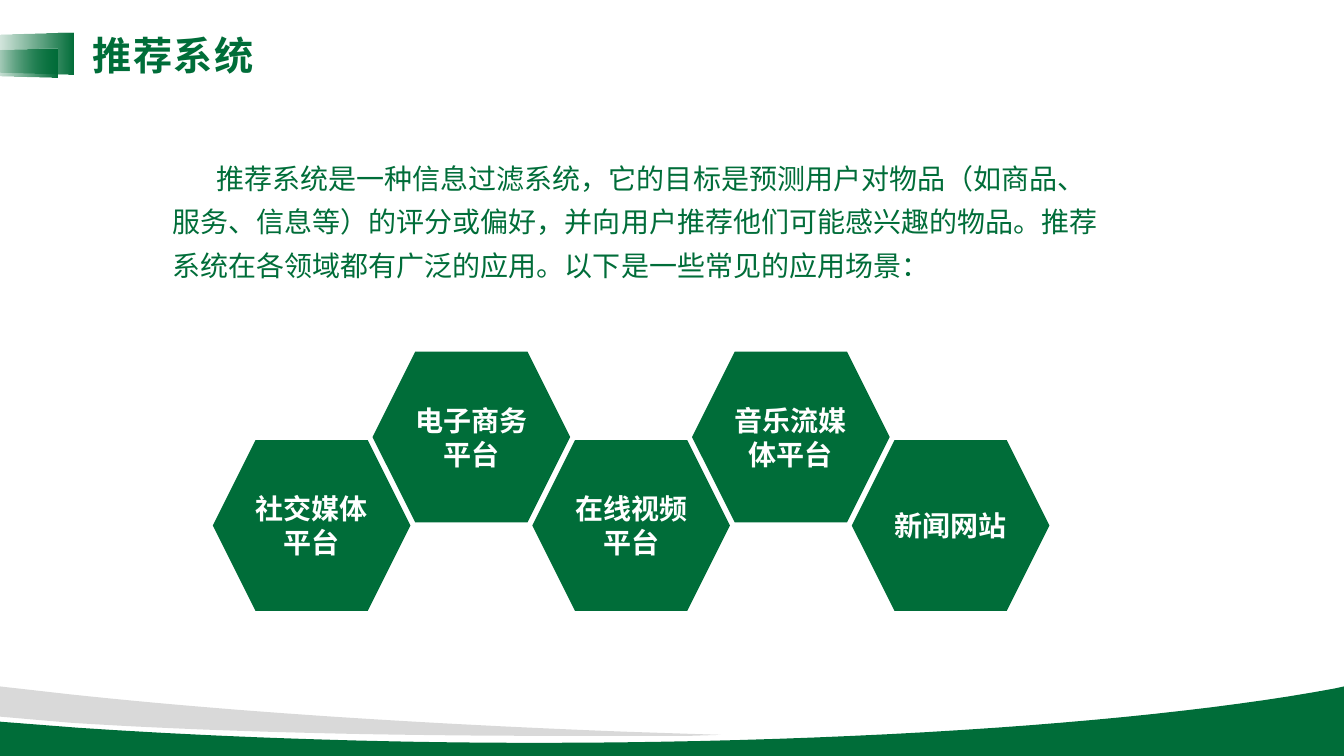
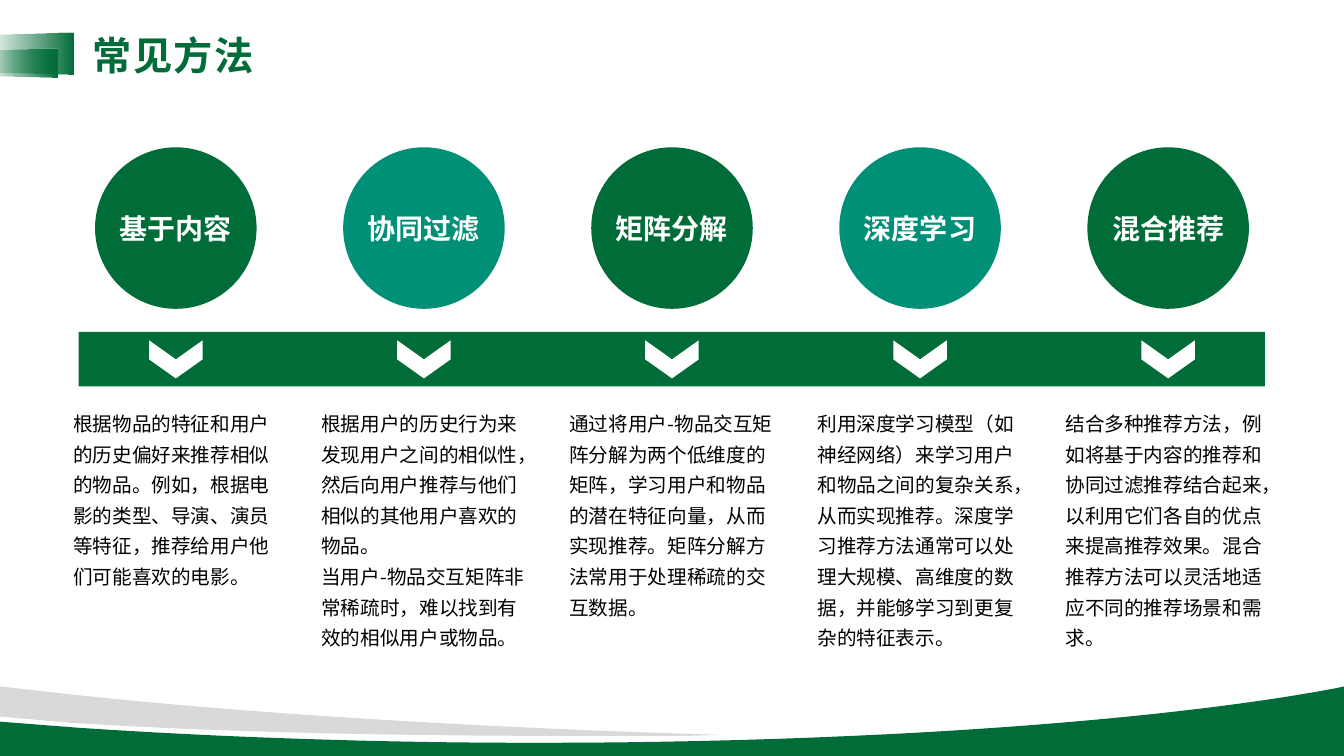
from lxml.etree import SubElement
from pptx import Presentation
from pptx.dml.color import RGBColor
from pptx.enum.shapes import MSO_SHAPE as Preset
from pptx.enum.text import MSO_ANCHOR as Anchor, MSO_AUTO_SIZE as AutoSize, PP_ALIGN as Align
from pptx.oxml.ns import qn
from pptx.util import Pt

GREEN = RGBColor(0x00, 0x6D, 0x39)
TEAL = RGBColor(0x00, 0x8F, 0x77)
GREY = RGBColor(0xD9, 0xD9, 0xD9)
WHITE = RGBColor(0xFF, 0xFF, 0xFF)
BLACK = RGBColor(0x00, 0x00, 0x00)
FONT = "Noto Sans CJK SC"

GREEN_WAVE = [
    [(960, 490.3)], [(960, 540)], [(0, 540)], [(0, 515.5)], [(55.4, 519.8)],
    [(152.6, 526.3), (264.2, 530.6), (383, 530.6)],
    [(620.6, 530.6), (830.2, 514.8), (953.3, 491.8)],
]
GREY_WAVE = [
    [(0, 490.3)], [(50.4, 496)],
    [(164.9, 508.3), (300.2, 517), (447.8, 522.7)],
    [(514.8, 524.9)], [(492.5, 525.6)], [(394.6, 525.6)],
    [(259.9, 525.6), (138.2, 522), (49.7, 516.2)],
    [(0, 511.9)],
]
CURVE_STEPS = 24

INTRO = (
    "推荐系统是一种信息过滤系统，它的目标是预测用户对物品（如商品、服务、信息等）的评分或偏好，"
    "并向用户推荐他们可能感兴趣的物品。推荐系统在各领域都有广泛的应用。以下是一些常见的应用场景："
)
SCENARIOS = ["社交媒体平台", "电子商务平台", "在线视频平台", "音乐流媒体平台", "新闻网站"]
METHODS = [
    ("基于内容",
     "根据物品的特征和用户的历史偏好来推荐相似的物品。例如，根据电影的类型、导演、演员等特征，"
     "推荐给用户他们可能喜欢的电影。"),
    ("协同过滤",
     "根据用户的历史行为来发现用户之间的相似性，然后向用户推荐与他们相似的其他用户喜欢的物品。\n"
     "当用户-物品交互矩阵非常稀疏时，难以找到有效的相似用户或物品。"),
    ("矩阵分解",
     "通过将用户-物品交互矩阵分解为两个低维度的矩阵，学习用户和物品的潜在特征向量，从而实现推荐。"
     "矩阵分解方法常用于处理稀疏的交互数据。"),
    ("深度学习",
     "利用深度学习模型（如神经网络）来学习用户和物品之间的复杂关系，从而实现推荐。"
     "深度学习推荐方法通常可以处理大规模、高维度的数据，并能够学习到更复杂的特征表示。"),
    ("混合推荐",
     "结合多种推荐方法，例如将基于内容的推荐和协同过滤推荐结合起来，以利用它们各自的优点来提高推荐效果。"
     "混合推荐方法可以灵活地适应不同的推荐场景和需求。"),
]


def write(frame, text, size=20, color=WHITE, bold=False, align=Align.LEFT,
          anchor=Anchor.TOP, wrap=True, line_spacing=None, indent=0, tracking=0):
    frame.auto_size = AutoSize.NONE
    frame.word_wrap = wrap
    frame.vertical_anchor = anchor
    for number, line in enumerate(text.split("\n")):
        paragraph = frame.add_paragraph() if number else frame.paragraphs[0]
        paragraph.alignment = align
        if line_spacing:
            paragraph.line_spacing = line_spacing
        if indent:
            paragraph._p.get_or_add_pPr().set("indent", str(Pt(indent)))
        run = paragraph.add_run()
        run.text = line
        run.font.size = Pt(size)
        run.font.bold = bold
        run.font.color.rgb = color
        run.font.name = FONT
        properties = run._r.get_or_add_rPr()
        SubElement(properties, qn("a:ea"), typeface=FONT)
        if tracking:
            properties.set("spc", str(tracking * 100))


def paint(shape, color):
    shape.shadow.inherit = False
    shape.line.fill.background()
    shape.fill.solid()
    shape.fill.fore_color.rgb = color


def add_block(slide, preset, left, top, width, height, color, rotation=0):
    block = slide.shapes.add_shape(preset, Pt(left), Pt(top), Pt(width), Pt(height))
    block.rotation = rotation
    paint(block, color)
    return block


def add_text(slide, text, left, top, width, height, **style):
    box = slide.shapes.add_textbox(Pt(left), Pt(top), Pt(width), Pt(height))
    write(box.text_frame, text, **style)


def bezier(points, t):
    weights = ((1 - t) ** 3, 3 * t * (1 - t) ** 2, 3 * t ** 2 * (1 - t), t ** 3)
    return tuple(sum(w * p[axis] for w, p in zip(weights, points)) for axis in (0, 1))


def add_wave(slide, segments, color):
    outline = []
    for segment in segments:
        if len(segment) == 1:
            outline += segment
        else:
            controls = [outline[-1], *segment]
            outline += [bezier(controls, step / CURVE_STEPS) for step in range(1, CURVE_STEPS + 1)]
    vertices = [(Pt(x), Pt(y)) for x, y in outline]
    builder = slide.shapes.build_freeform(*vertices[0])
    builder.add_line_segments(vertices[1:], close=True)
    wave = builder.convert_to_shape()
    paint(wave, color)
    return wave


def add_ribbon(slide, left, top, width, height):
    ribbon = add_block(slide, Preset.TRAPEZOID, left, top, width, height, GREEN, rotation=270)
    ribbon.adjustments[0] = 0.07
    ribbon.fill.gradient()
    ribbon.fill.gradient_angle = 0
    for stop, position in zip(ribbon.fill.gradient_stops, (0, 1)):
        stop.color.rgb = GREEN
        stop.position = position
    gradient = ribbon.element.spPr.find(qn("a:gradFill"))
    gradient.set("rotWithShape", "0")
    SubElement(next(gradient.iter(qn("a:srgbClr"))), qn("a:alpha"), val="0")
    return ribbon


def decorate(layout, slide):
    for placeholder in list(layout.placeholders):
        if placeholder.placeholder_format.idx:
            placeholder.element.getparent().remove(placeholder.element)
        else:
            placeholder.left, placeholder.top = Pt(59), Pt(18.7)
            placeholder.width, placeholder.height = Pt(253), Pt(41)
    decorations = [
        add_wave(slide, GREEN_WAVE, GREEN),
        add_wave(slide, GREY_WAVE, GREY),
        add_ribbon(slide, 5.8, 6.5, 29.5, 63.4),
        add_ribbon(slide, 4.3, 18.7, 20.9, 52.6),
    ]
    for decoration in decorations:
        layout.shapes.element.append(decoration.element)


def set_title(slide, text):
    write(slide.shapes.title.text_frame, text, size=28, color=GREEN, bold=True,
          anchor=Anchor.MIDDLE, tracking=1)


def fill_overview(slide):
    set_title(slide, "推荐系统")
    add_text(slide, INTRO, 116, 104.4, 680, 107, color=GREEN, line_spacing=1.3, indent=31.4)
    for index, scenario in enumerate(SCENARIOS):
        top = 251.2 if index % 2 else 314.4
        hexagon = add_block(slide, Preset.HEXAGON, 152 + 114.1 * index, top, 141.2, 122, GREEN)
        write(hexagon.text_frame, scenario, bold=True, align=Align.CENTER, anchor=Anchor.MIDDLE)


def fill_methods(slide):
    set_title(slide, "常见方法")
    add_block(slide, Preset.RECTANGLE, 56.2, 237, 847.4, 39, GREEN)
    diameter, arrow_width, arrow_height = 115.4, 27.2, 38.2
    for index, (method, description) in enumerate(METHODS):
        center = 125.6 + 177.2 * index
        circle = add_block(slide, Preset.OVAL, center - diameter / 2, 105.2, diameter, diameter,
                           TEAL if index % 2 else GREEN)
        write(circle.text_frame, method, bold=True, align=Align.CENTER,
              anchor=Anchor.MIDDLE, wrap=False)
        add_block(slide, Preset.CHEVRON, center - arrow_width / 2, 256.7 - arrow_height / 2,
                  arrow_width, arrow_height, WHITE, rotation=90)
        add_text(slide, description, center - 80.4, 285.8, 161.3, 184,
                 size=14, color=BLACK, line_spacing=1.3)


def main():
    deck = Presentation()
    deck.slide_width, deck.slide_height = Pt(960), Pt(540)
    layout = deck.slide_layouts.get_by_name("Title Only")
    overview = deck.slides.add_slide(layout)
    decorate(layout, overview)
    fill_overview(overview)
    fill_methods(deck.slides.add_slide(layout))
    deck.save("out.pptx")


if __name__ == "__main__":
    main()
